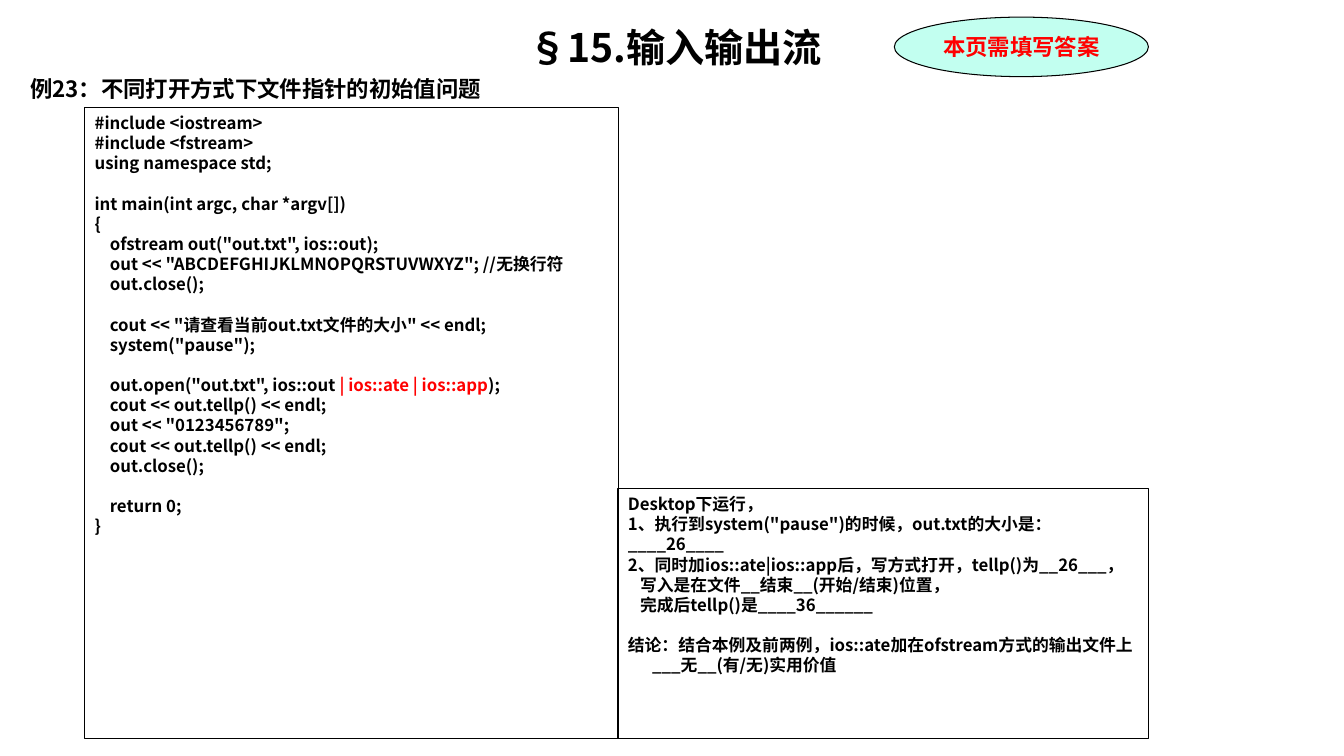
from pptx import Presentation
from pptx.dml.color import RGBColor
from pptx.enum import shapes as sh, text as tx
from pptx.oxml import ns
from pptx.util import Inches, Pt

NOTO, TIMES = "Noto Sans CJK SC", "Times New Roman"
BLACK, RED, MINT = "000000", "FF0000", "C2FFF0"
STEP = 0.04
GAP = 14.4

HEAD = "§15.输入输出流"
TOPIC = "例23：不同打开方式下文件指针的初始值问题"
BADGE = "本页需填写答案"
MODES = " | ios::ate | ios::app"
CODE = """#include <iostream>
#include <fstream>
using namespace std;

int main(int argc, char *argv[])
{
    ofstream out("out.txt", ios::out);
    out << "ABCDEFGHIJKLMNOPQRSTUVWXYZ"; //无换行符
    out.close();

    cout << "请查看当前out.txt文件的大小" << endl;
    system("pause");

    out.open("out.txt", ios::out | ios::ate | ios::app);
    cout << out.tellp() << endl;
    out << "0123456789";
    cout << out.tellp() << endl;
    out.close();

    return 0;
}""".split("\n")
NOTES = [
    ("Desktop下运行，", 0, 0),
    ('1、执行到system("pause")的时候，out.txt的大小是：____26____', 0, 0),
    ("2、同时加ios::ate|ios::app后，写方式打开，tellp()为__26___，", 0, 0),
    ("写入是在文件__结束__(开始/结束)位置，", 3, 0),
    ("完成后tellp()是____36______", 3, 0),
    ("结论：结合本例及前两例，ios::ate加在ofstream方式的输出文件上", 0, GAP),
    ("___无__(有/无)实用价值", 6, 0),
]


def color(code):
    return RGBColor.from_string(code)


def write(frame, words, size=12, font=NOTO, ink=BLACK, align="LEFT",
          before=0, indent=0, mark=None):
    para = frame.paragraphs[0]
    if para.runs:
        para = frame.add_paragraph()
    para.alignment = getattr(tx.PP_ALIGN, align)
    para.space_before = Pt(before)
    if indent:
        props = para._p.get_or_add_pPr()
        props.set("marL", str(Inches(indent)))
        props.set("indent", "0")
    parts = [(words, ink)]
    if mark and mark in words:
        left, right = words.split(mark)
        parts = [(left, ink), (mark, RED), (right, ink)]
    for part, tint in parts:
        run = para.add_run()
        run.text = part
        run.font.size = Pt(size)
        run.font.bold = True
        run.font.name = font
        run.font.color.rgb = color(tint)
        east = run._r.get_or_add_rPr().makeelement(ns.qn("a:ea"), {"typeface": NOTO})
        run.font._element.find(ns.qn("a:latin")).addnext(east)


def panel(kind, box, fill=None, anchor="TOP"):
    shape = slide.shapes.add_shape(kind, *map(Inches, box))
    shape.shadow.inherit = False
    if fill:
        shape.fill.solid()
        shape.fill.fore_color.rgb = color(fill)
    else:
        shape.fill.background()
    shape.line.color.rgb = color(BLACK)
    shape.line.width = Pt(0.75)
    frame = shape.text_frame
    frame.word_wrap = True
    frame.vertical_anchor = getattr(tx.MSO_ANCHOR, anchor)
    return frame


deck = Presentation()
deck.slide_width, deck.slide_height = Inches(13.33), Inches(7.5)
slide = deck.slides.add_slide(deck.slide_layouts[5])

title = slide.shapes.title
title.left, title.top, title.width, title.height = map(Inches, (0.2, 0.18, 12.99, 7.09))
frame = title.text_frame
frame.auto_size = tx.MSO_AUTO_SIZE.NONE
frame.vertical_anchor = tx.MSO_ANCHOR.TOP
write(frame, HEAD, size=28, align="CENTER")
write(frame, TOPIC, size=16, before=3.2)

badge = panel(sh.MSO_SHAPE.OVAL, (8.87, 0.17, 2.52, 0.59), MINT, "MIDDLE")
write(badge, BADGE, size=16, font=TIMES, ink=RED, align="CENTER")

code = panel(sh.MSO_SHAPE.RECTANGLE, (0.84, 1.07, 5.29, 6.26))
for prior, line in zip([None] + CODE, CODE):
    if line:
        write(code, line, before=GAP if prior == "" else 0, mark=MODES)

notes = panel(sh.MSO_SHAPE.RECTANGLE, (6.13, 4.85, 5.26, 2.48))
for line, depth, gap in NOTES:
    write(notes, line, indent=depth * STEP, before=gap)

deck.save("out.pptx")
